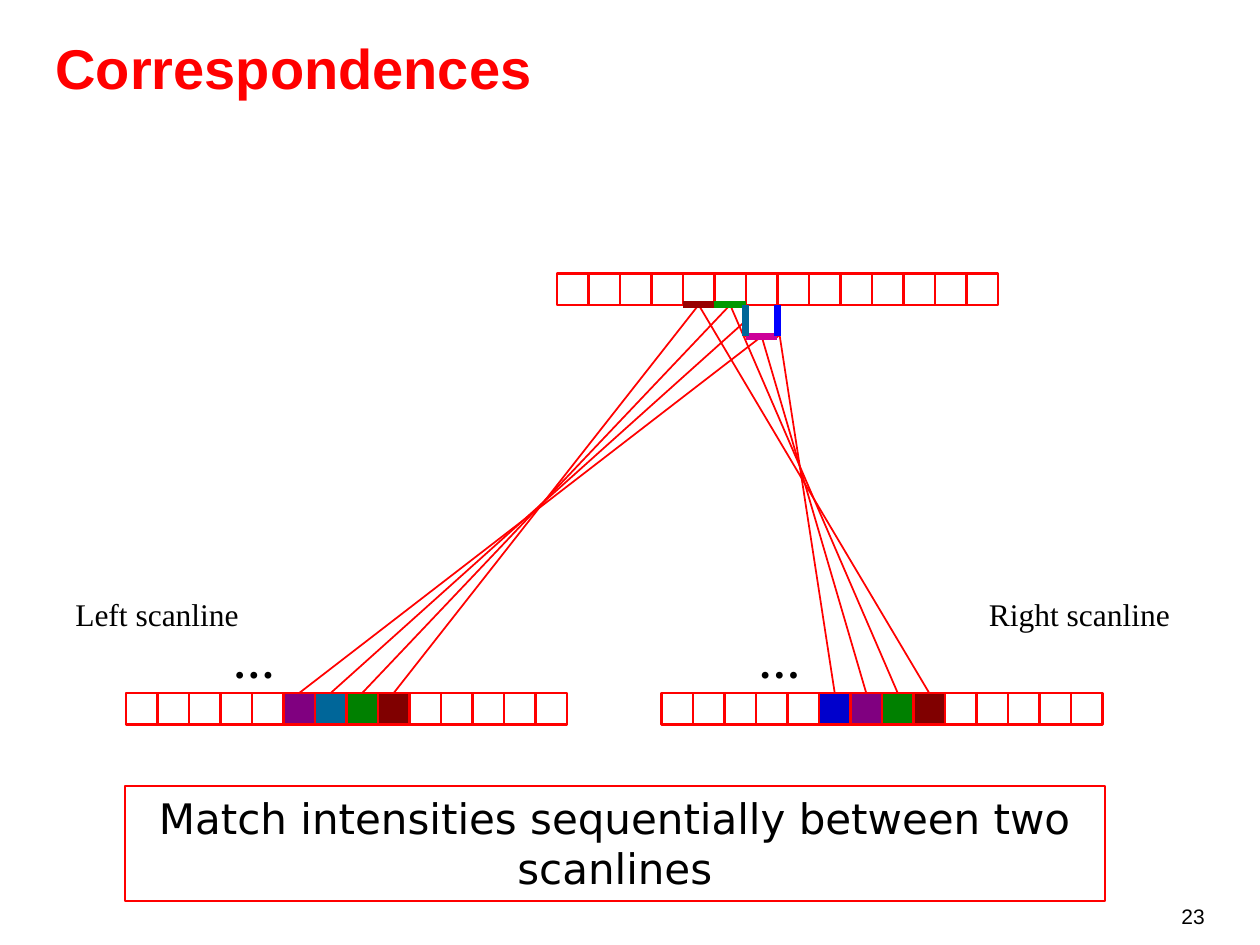
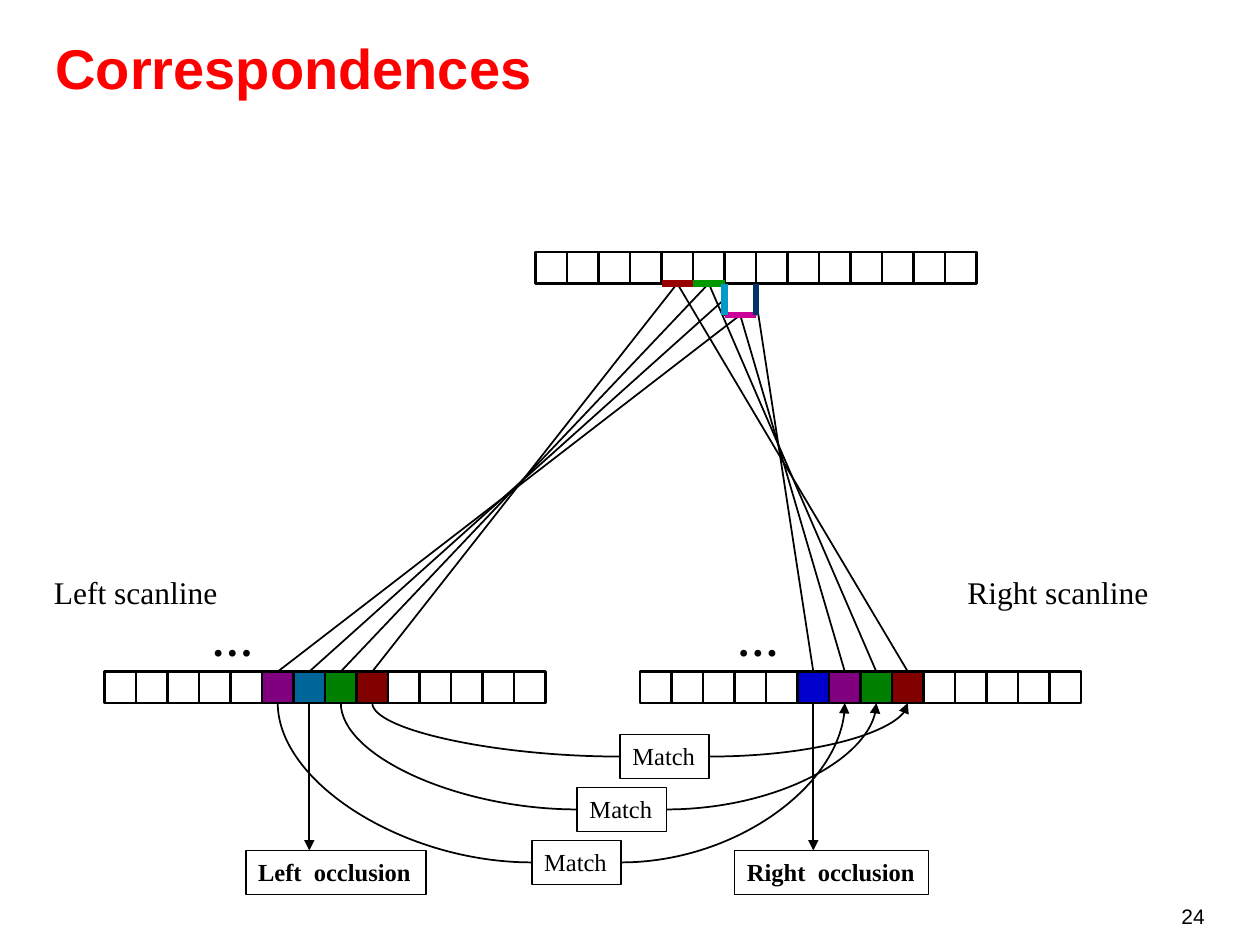
from dataclasses import dataclass

from lxml.etree import SubElement
from pptx import Presentation
from pptx.dml.color import RGBColor
from pptx.enum.shapes import MSO_CONNECTOR as Connector
from pptx.enum.shapes import MSO_SHAPE as Shape
from pptx.enum.text import MSO_ANCHOR as Anchor
from pptx.enum.text import PP_ALIGN as Align
from pptx.oxml.ns import qn
from pptx.util import Inches, Pt


@dataclass(frozen=True)
class Theme:
    red: str = "FF0000"
    black: str = "000000"
    purple: str = "800080"
    teal: str = "006699"
    green: str = "008000"
    maroon: str = "800000"
    blue: str = "0000CC"
    edge_maroon: str = "990000"
    edge_green: str = "009900"
    edge_magenta: str = "CC0099"
    sans: str = "Arial"
    serif: str = "Times New Roman"
    banner_font: str = "DejaVu Sans"
    title_size: int = 32
    large_size: int = 24
    label_size: int = 18
    small_size: int = 14
    number_size: int = 12
    thin: float = 1
    cell_line: float = 1.5
    edge_line: float = 4


THEME = Theme()
CELL = 0.25
CELL_COUNT = 14
TOP, LEFT, BOTTOM, RIGHT = range(4)  # connection sites of a rectangle

LEFT_COLOURS = {5: THEME.purple, 6: THEME.teal, 7: THEME.green, 8: THEME.maroon}
RIGHT_COLOURS = {5: THEME.blue, 6: THEME.purple, 7: THEME.green, 8: THEME.maroon}


# Text
def format_text(frame, text, size, font, colour=THEME.black, bold=False,
                align=Align.LEFT, anchor=Anchor.TOP, wrap=False):
    frame.text = text
    frame.word_wrap = wrap
    frame.vertical_anchor = anchor
    for para in frame.paragraphs:
        para.alignment = align
        for span in para.runs:
            span.font.size = Pt(size)
            span.font.name = font
            span.font.bold = bold
            span.font.color.rgb = RGBColor.from_string(colour)


def add_label(page, text, left, top, width, height, size, font=THEME.serif,
              outline=None, **style):
    box = page.shapes.add_textbox(*map(Inches, (left, top, width, height)))
    format_text(box.text_frame, text, size, font, **style)
    if outline:
        box.line.color.rgb = RGBColor.from_string(outline)
        box.line.width = Pt(THEME.thin)
    return box


def add_page(deck, title, number):
    page = deck.slides.add_slide(deck.slide_layouts[5])
    heading = page.shapes.title
    heading.left, heading.top, heading.width, heading.height = map(
        Inches, (0.34, 0.22, 9.32, 0.63))
    format_text(heading.text_frame, title, THEME.title_size, THEME.sans,
                THEME.red, bold=True, anchor=Anchor.BOTTOM, wrap=True)
    add_label(page, str(number), 7.83, 6.92, 1.83, 0.5, THEME.number_size,
              THEME.sans, align=Align.RIGHT, anchor=Anchor.BOTTOM, wrap=True)
    return page


# Cells and lines
def add_cell(page, left, top, outline, fill=None):
    cell = page.shapes.add_shape(
        Shape.RECTANGLE, *map(Inches, (left, top, CELL, CELL)))
    cell.shadow.inherit = False
    cell.line.color.rgb = RGBColor.from_string(outline)
    cell.line.width = Pt(THEME.cell_line)
    if fill:
        cell.fill.solid()
        cell.fill.fore_color.rgb = RGBColor.from_string(fill)
    else:
        cell.fill.background()
    return cell


def add_strip(page, left, top, outline, fills=None):
    fills = fills or {}
    return [add_cell(page, left + i * CELL, top, outline, fills.get(i))
            for i in range(CELL_COUNT)]


def site(shape, side):
    """Middle of one side of a rectangle."""
    middle_x = shape.left + shape.width // 2
    middle_y = shape.top + shape.height // 2
    return {TOP: (middle_x, shape.top),
            LEFT: (shape.left, middle_y),
            BOTTOM: (middle_x, shape.top + shape.height),
            RIGHT: (shape.left + shape.width, middle_y)}[side]


def add_line(page, start, end, colour, width=THEME.thin, arrow=False,
             kind=Connector.STRAIGHT):
    line = page.shapes.add_connector(kind, *start, *end)
    line.line.color.rgb = RGBColor.from_string(colour)
    line.line.width = Pt(width)
    properties = line._element.spPr
    if arrow:
        SubElement(properties.find(qn("a:ln")), qn("a:tailEnd"), type="triangle")
    SubElement(properties, qn("a:effectLst"))
    return line


def add_ray(page, patch, side, pixel, colour):
    ray = add_line(page, site(patch, side), site(pixel, TOP), colour)
    ray.begin_connect(patch, side)
    ray.end_connect(pixel, TOP)


def add_edge(page, cell, side, colour):
    middle_x, middle_y = site(cell, side)
    half = Inches(CELL / 2)
    across, down = (half, 0) if side in (TOP, BOTTOM) else (0, half)
    add_line(page, (middle_x - across, middle_y - down),
             (middle_x + across, middle_y + down), colour, THEME.edge_line)


def add_curve(page, box, side, pixel, arrow=False):
    """Quarter curve from the side of a box up to the bottom of a pixel."""
    curve = add_line(page, site(box, side), site(pixel, BOTTOM), THEME.black,
                     arrow=arrow, kind=Connector.CURVE)
    curve._element.spPr.find(qn("a:prstGeom")).set("prst", "curvedConnector2")


# Scene shared by both slides
def add_scene(page, shift, colour, left_edge, right_edge):
    """Draw the surface, the scanlines and the rays between them."""
    scan_top = 5.5 + shift
    left_scan = add_strip(page, 1 + shift, scan_top, colour, LEFT_COLOURS)
    right_scan = add_strip(page, 5.25 + shift, scan_top, colour, RIGHT_COLOURS)
    surface = add_strip(page, 4.42 + shift, 2.17 + shift, colour)
    step = add_cell(page, 5.92 + shift, 2.42 + shift, colour)

    # Surface patch, its side, edge colour, pixels that see it
    patches = [
        (surface[4], BOTTOM, THEME.edge_maroon, (left_scan[8], right_scan[8])),
        (surface[5], BOTTOM, THEME.edge_green, (left_scan[7], right_scan[7])),
        (step, BOTTOM, THEME.edge_magenta, (left_scan[5], right_scan[6])),
        (step, LEFT, left_edge, (left_scan[6],)),
        (step, RIGHT, right_edge, (right_scan[5],)),
    ]
    for patch, side, edge_colour, pixels in patches:
        for pixel in pixels:
            add_ray(page, patch, side, pixel, colour)
        add_edge(page, patch, side, edge_colour)

    for left in (1.75, 5.92):
        add_label(page, "…", left + shift, 5 + shift, 0.53, 0.5,
                  THEME.large_size, bold=True)
    for text, left, width in (("Left scanline", 0.5, 1.5),
                              ("Right scanline", 7.75, 1.64)):
        add_label(page, text, left + shift, 4.67 + shift, width, 0.4,
                  THEME.label_size)
    return left_scan, right_scan


def add_match(page, left, top, left_pixel, right_pixel):
    box = add_label(page, "Match", left, top, 0.71, 0.35, THEME.small_size,
                    outline=THEME.black)
    add_curve(page, box, LEFT, left_pixel)
    add_curve(page, box, RIGHT, right_pixel, arrow=True)


def add_occlusion(page, text, left, width, pixel):
    box = add_label(page, text, left, 6.75, width, 0.35, THEME.small_size,
                    outline=THEME.black, bold=True)
    start = site(pixel, BOTTOM)
    arrow = add_line(page, start, (start[0], box.top), THEME.black, arrow=True)
    arrow.begin_connect(pixel, BOTTOM)


# Slides
def build_intensity_page(deck):
    page = add_page(deck, "Correspondences", 23)
    add_scene(page, 0, THEME.red, left_edge=THEME.teal, right_edge="0000FF")
    add_label(page, "Match intensities sequentially between two scanlines",
              0.99, 6.24, 7.78, 0.91, THEME.large_size, THEME.banner_font,
              outline=THEME.red, align=Align.CENTER, wrap=True)


def build_occlusion_page(deck):
    page = add_page(deck, "Correspondences", 24)
    left_scan, right_scan = add_scene(page, -0.17, THEME.black,
                                      left_edge="0099CC", right_edge="003366")
    matches = [(4.92, 8, 8), (4.58, 7, 7), (4.22, 5, 6)]
    for row, (left, left_index, right_index) in enumerate(matches):
        add_match(page, left, 5.83 + 0.42 * row,
                  left_scan[left_index], right_scan[right_index])
    add_occlusion(page, "Left  occlusion", 1.95, 1.43, left_scan[6])
    add_occlusion(page, "Right  occlusion", 5.83, 1.54, right_scan[5])


def main():
    deck = Presentation()
    deck.slide_width, deck.slide_height = Inches(10), Inches(7.5)
    build_intensity_page(deck)
    build_occlusion_page(deck)
    deck.save("out.pptx")


if __name__ == "__main__":
    main()
